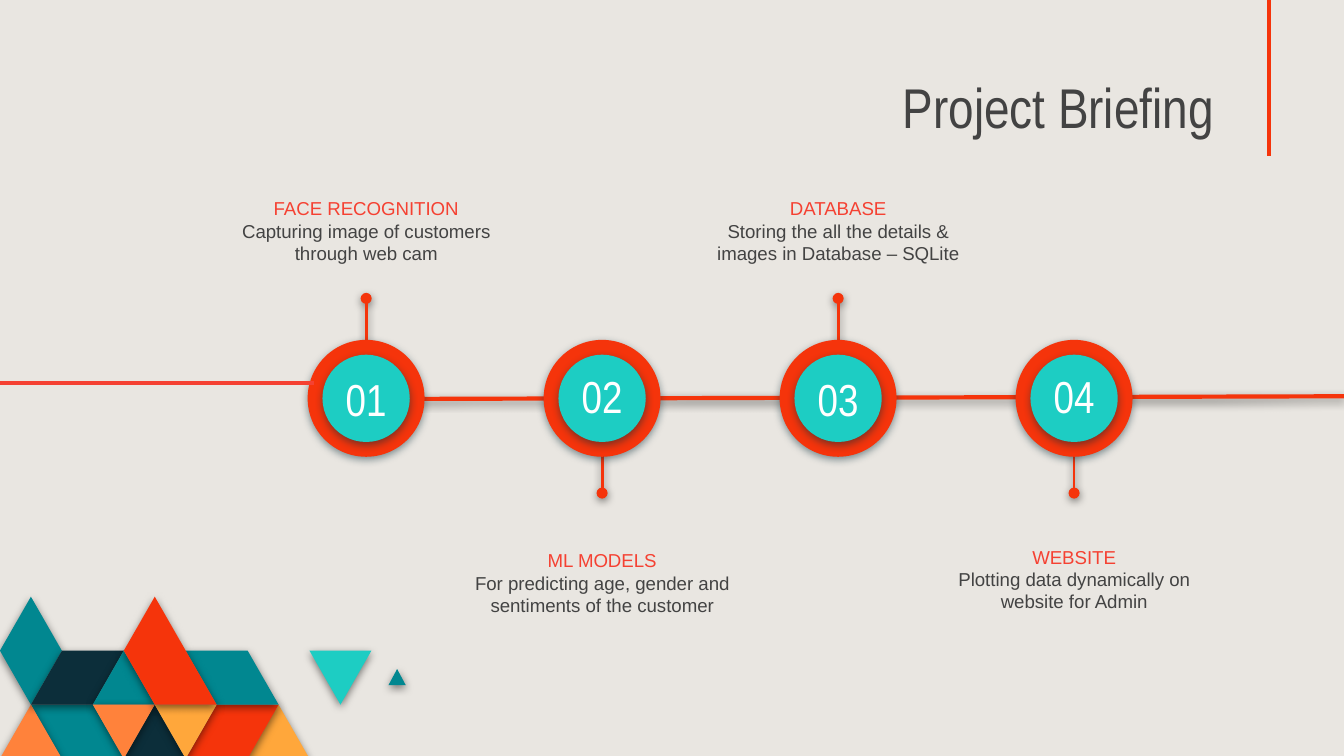
from dataclasses import dataclass

from lxml import etree
from pptx import Presentation
from pptx.dml.color import RGBColor
from pptx.enum.shapes import MSO_CONNECTOR, MSO_SHAPE
from pptx.enum.text import MSO_ANCHOR, MSO_AUTO_SIZE, PP_ALIGN
from pptx.oxml import parse_xml
from pptx.oxml.ns import nsdecls, qn
from pptx.util import Cm, Pt

OVAL, STRAIGHT = MSO_SHAPE.OVAL, MSO_CONNECTOR.STRAIGHT
TOP, MIDDLE, BOTTOM = MSO_ANCHOR.TOP, MSO_ANCHOR.MIDDLE, MSO_ANCHOR.BOTTOM
LEFT, CENTER = PP_ALIGN.LEFT, PP_ALIGN.CENTER
NO_FIT = MSO_AUTO_SIZE.NONE

COLORS = {
    "bg": "E9E6E1", "text": "434343", "white": "FFFFFF", "black": "000000",
    "red": "F5340B", "coral": "F54132", "teal": "018790", "aqua": "1DCDC3",
    "navy": "0C2E3A", "orange": "FF823B", "amber": "FFA73B",
}

# Timeline measures, in cm
FIRST_X, PITCH, AXIS_Y = 6.92, 4.46, 7.53
RING, DISC = 2.21, 1.65

# Triangle grid: half a side across, one row down
SIDE, ROW, GRID_TOP = 1.17, 1.02, 11.28


@dataclass
class Step:
    number: str
    heading: str
    body: str
    number_top: float
    caption_top: float
    caption_width: float
    stem: tuple[float, float]


@dataclass
class Tile:
    color: str
    points: list[tuple[float, float]]


UP, DOWN = (6.71, 5.64), (8.36, 9.32)
STEPS = [
    Step("01", "FACE RECOGNITION", "Capturing image of customers through web cam",
         6.91, 3.48, 5.72, UP),
    Step("02", "ML MODELS", "For predicting age, gender and sentiments of the customer",
         6.86, 10.13, 6.58, DOWN),
    Step("03", "DATABASE", "Storing the all the details & images in Database – SQLite",
         6.91, 3.48, 5.61, UP),
    Step("04", "WEBSITE", "Plotting data dynamically on website for Admin",
         6.86, 10.06, 5.82, DOWN),
]

TILES = [
    Tile("amber", [(10, 3), (9, 2), (8, 3)]),
    Tile("red", [(9, 2), (7, 2), (6, 3), (8, 3)]),
    Tile("teal", [(4, 3), (3, 2), (1, 2), (2, 3)]),
    Tile("orange", [(2, 3), (1, 2), (0, 3)]),
    Tile("navy", [(6, 3), (5, 2), (4, 3)]),
    Tile("teal", [(9, 2), (8, 1), (6, 1), (7, 2)]),
    Tile("teal", [(13.11, 1.64), (12.83, 1.34), (12.55, 1.64)]),
    Tile("aqua", [(12, 1), (10, 1), (11, 2)]),
    Tile("teal", [(2, 1), (1, 0), (0, 1), (1, 2)]),
    Tile("navy", [(4, 1), (2, 1), (1, 2), (3, 2)]),
    Tile("teal", [(5, 2), (4, 1), (3, 2)]),
    Tile("orange", [(5, 2), (3, 2), (4, 3)]),
    Tile("amber", [(7, 2), (5, 2), (6, 3)]),
    Tile("red", [(7, 2), (5, 0), (4, 1), (5, 2)]),
]


def rgb(name: str) -> RGBColor:
    return RGBColor.from_string(COLORS[name])


def set_shadow(sp, color: str | None) -> None:
    """Give a soft shadow below, or none at all."""
    effects = parse_xml(f"<a:effectLst {nsdecls('a')}/>")
    if color:
        shadow = etree.SubElement(
            effects, qn("a:outerShdw"), blurRad=str(Pt(4.5)), dist=str(Pt(1.5)),
            dir="5400000", algn="bl", rotWithShape="0")
        clr = etree.SubElement(shadow, qn("a:srgbClr"), val=COLORS[color])
        etree.SubElement(clr, qn("a:alpha"), val="50000")
    sp._element.spPr.append(effects)


def paint(sp, color: str, shadow: str) -> None:
    sp.fill.solid()
    sp.fill.fore_color.rgb = rgb(color)
    sp.line.fill.background()
    set_shadow(sp, shadow)


def add_tile(s, tile: Tile) -> None:
    points = [(Cm(u * SIDE / 2), Cm(GRID_TOP + row * ROW)) for u, row in tile.points]
    builder = s.shapes.build_freeform(*points[0])
    builder.add_line_segments(points[1:], close=True)
    paint(builder.convert_to_shape(), tile.color, "black")


def add_circle(s, x: float, size: float, color: str) -> None:
    sp = s.shapes.add_shape(OVAL, Cm(x - size / 2), Cm(AXIS_Y - size / 2),
                            Cm(size), Cm(size))
    paint(sp, color, "navy")


def add_line(s, x1: float, y1: float, x2: float, y2: float, color: str = "red",
             width: float = 2.25, shadow: str | None = None, dot: bool = False) -> None:
    line = s.shapes.add_connector(STRAIGHT, Cm(x1), Cm(y1), Cm(x2), Cm(y2))
    line.line.color.rgb = rgb(color)
    line.line.width = Pt(width)
    if dot:
        etree.SubElement(line.line._get_or_add_ln(), qn("a:tailEnd"), type="oval")
    set_shadow(line, shadow)


def format_frame(tf, anchor: MSO_ANCHOR, align: PP_ALIGN):
    frame_format = {"word_wrap": True, "auto_size": NO_FIT, "vertical_anchor": anchor}
    for side in ("left", "top", "right", "bottom"):
        frame_format[f"margin_{side}"] = Cm(0.25)
    for name, value in frame_format.items():
        setattr(tf, name, value)
    p = tf.paragraphs[0]
    p.alignment = align
    return p


def add_run(p, text: str, font: str, size: float, color: str) -> None:
    r = p.add_run()
    r.text = text
    for name, value in {"name": font, "size": Pt(size)}.items():
        setattr(r.font, name, value)
    r.font.color.rgb = rgb(color)


def add_box(s, x: float, top: float, width: float, height: float, anchor: MSO_ANCHOR):
    """Add a text box centred on x and return its first paragraph."""
    box = s.shapes.add_textbox(Cm(x - width / 2), Cm(top), Cm(width), Cm(height))
    return format_frame(box.text_frame, anchor, CENTER)


def add_step(s, x: float, step: Step) -> None:
    start, end = step.stem
    add_line(s, x, start, x, end, width=1.5, shadow="black", dot=True)
    add_circle(s, x, RING, "red")
    add_circle(s, x, DISC, "aqua")
    p = add_box(s, x, step.number_top, 1.98, 1.24, MIDDLE)
    add_run(p, step.number, "Arial Narrow", 24, "white")
    p = add_box(s, x, step.caption_top, step.caption_width, 1.9, TOP)
    p.space_after = Pt(16)
    add_run(p, step.heading, "Arial", 10, "coral")
    p.add_line_break()
    add_run(p, step.body, "Arial", 10, "text")


def add_title(s, text: str) -> None:
    title = s.shapes.title
    place = {"left": 16.81, "top": 1.3, "width": 8.59, "height": 1.6}
    for name, value in place.items():
        setattr(title, name, Cm(value))
    p = format_frame(title.text_frame, BOTTOM, LEFT)
    add_run(p, text, "Arial Narrow", 30, "text")


def main() -> None:
    prs = Presentation()
    prs.slide_width, prs.slide_height = Cm(25.4), Cm(14.29)
    s = prs.slides.add_slide(prs.slide_layouts[5])
    s.background.fill.solid()
    s.background.fill.fore_color.rgb = rgb("bg")

    # Corner mosaic
    for tile in TILES:
        add_tile(s, tile)

    # Title with its accent line
    add_line(s, 23.98, 0, 23.98, 2.95)
    add_title(s, "Project Briefing")

    # Timeline
    add_line(s, 7.92, 7.54, 25.4, 7.49, shadow="black")
    for i, step in enumerate(STEPS):
        add_step(s, FIRST_X + i * PITCH, step)
    add_line(s, 0, 7.24, 5.94, 7.24, color="coral")

    prs.save("out.pptx")


if __name__ == "__main__":
    main()
